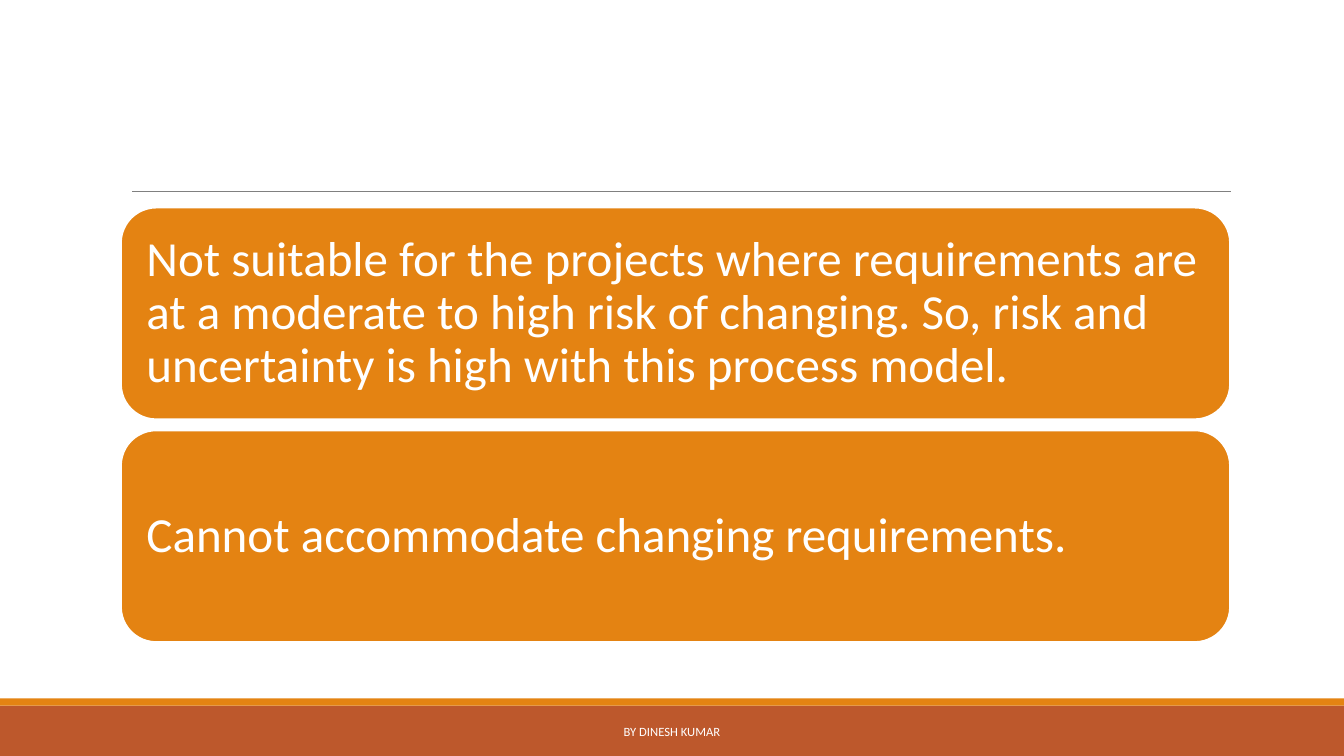
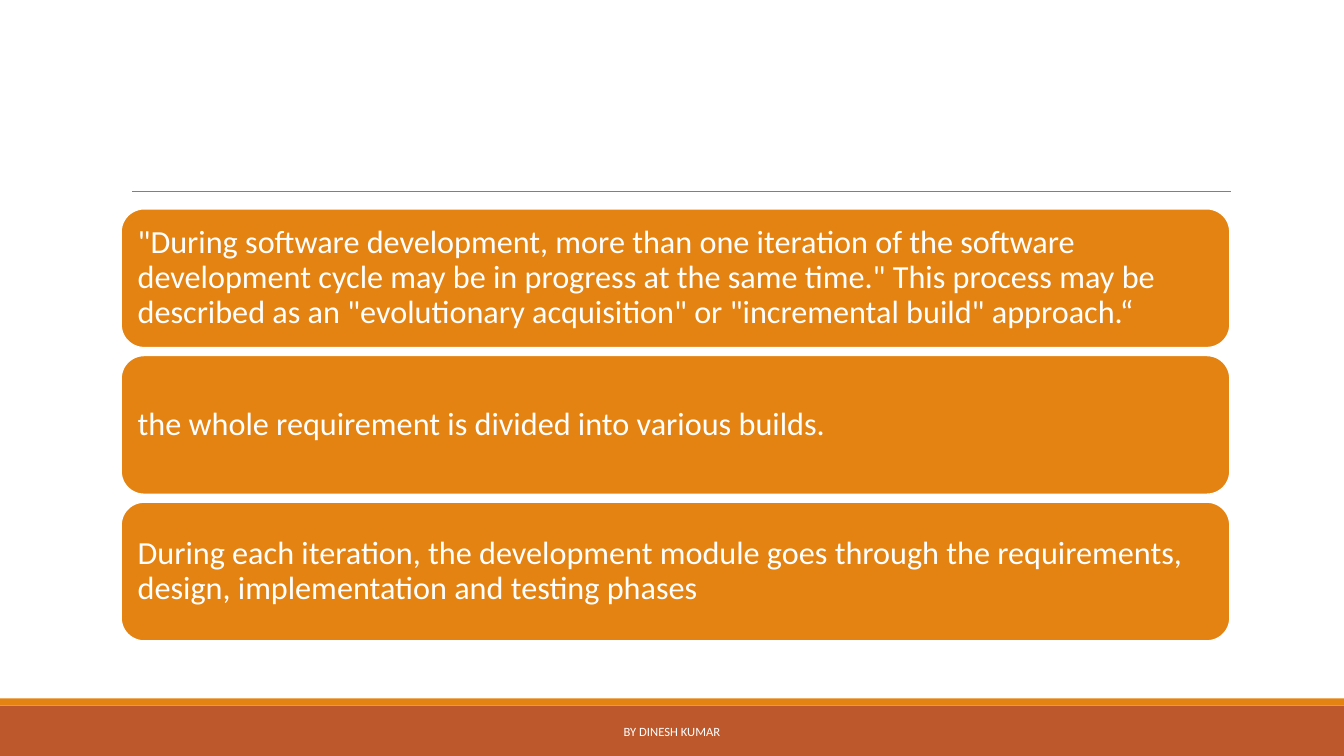
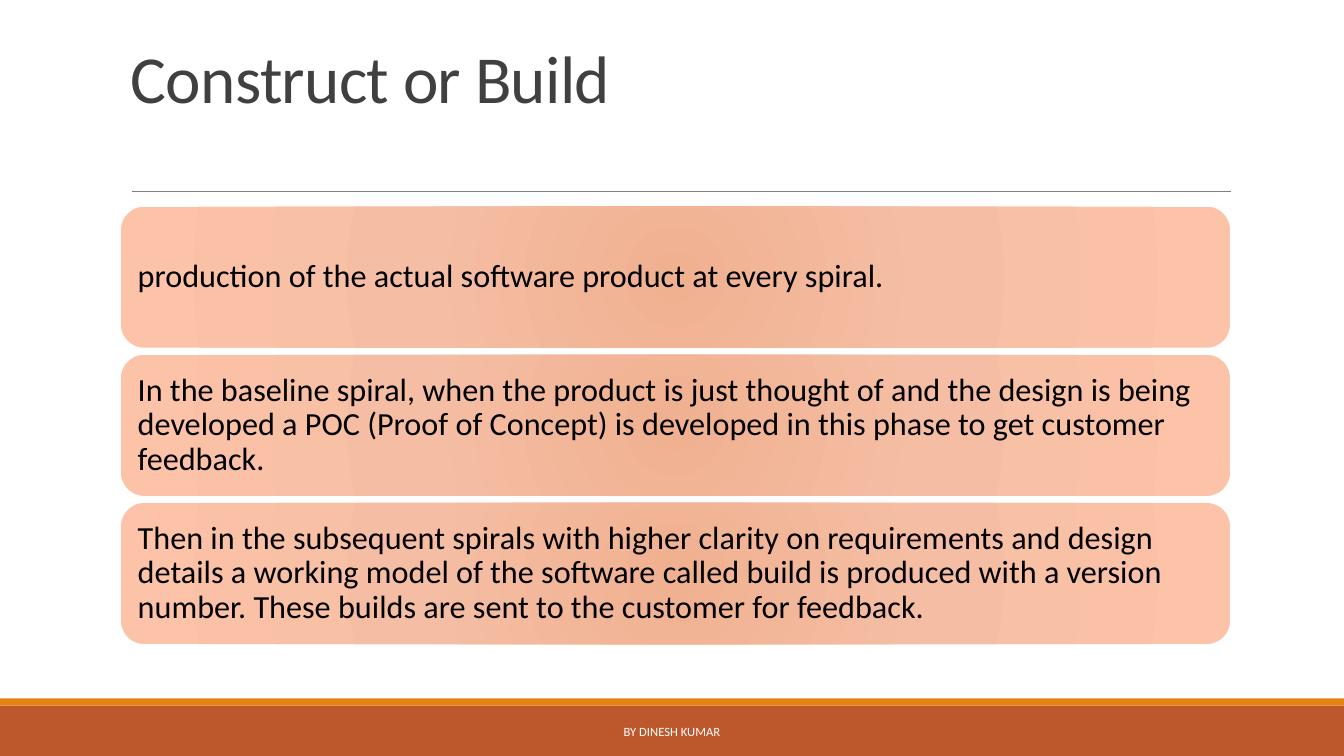
from lxml import etree
from pptx import Presentation
from pptx.dml.color import RGBColor
from pptx.enum import shapes, text
from pptx.oxml import parse_xml
from pptx.oxml import ns
from pptx.util import Inches, Pt

FONT = "Calibri"
WHITE, BLACK, DARK, GREY = "FFFFFF", "000000", "404040", "808080"
RUST, AMBER = "BD582C", "E48312"
GLOW = [(0, "F0B191"), (45, "F5BEA4"), (100, "FDC3A8")]
WIDE, HIGH = 13.33, 7.5
LEFT, SPAN = 1.2, 11


def color(code):
    """Turn a hex string into a colour."""
    return RGBColor.from_string(code)


def write(frame, words, size, ink, anchor, align=None, space=None, track=None):
    """Put one run of text in a frame."""
    frame.word_wrap = True
    frame.vertical_anchor = anchor
    para = frame.paragraphs[0]
    para.alignment = align or text.PP_ALIGN.LEFT
    para.line_spacing = space
    run = para.add_run()
    run.text = words
    run.font.name, run.font.size = FONT, Pt(size)
    run.font.color.rgb = color(ink)
    if track:
        run.font._element.set("spc", str(int(track * 100)))


def label(slide, box, words, size, ink, anchor, **style):
    """Add a text box."""
    area = slide.shapes.add_textbox(*map(Inches, box))
    write(area.text_frame, words, size, ink, anchor, **style)


def block(slide, kind, box, fill=None):
    """Add a shape without shadow or outline."""
    shape = slide.shapes.add_shape(kind, *map(Inches, box))
    shape.shadow.inherit = False
    shape.line.fill.background()
    if fill:
        shape.fill.solid()
        shape.fill.fore_color.rgb = color(fill)
    return shape


def rule(slide, start, end, y):
    """Add the thin line under the title."""
    line = slide.shapes.add_connector(
        shapes.MSO_CONNECTOR.STRAIGHT, *map(Inches, (start, y, end, y)))
    line.line.color.rgb = color(GREY)
    line.line.width = Pt(0.5)
    etree.SubElement(line._element.spPr, ns.qn("a:effectLst"))


def glow(shape):
    """Fill a shape with the round peach gradient."""
    stops = "".join(
        f'<a:gs pos="{pos * 1000}"><a:srgbClr val="{code}"/></a:gs>'
        for pos, code in GLOW)
    edges = " ".join(f'{side}="100000"' for side in "ltrb")
    shape.fill.background()
    props = shape._element.spPr
    props.replace(props.find(ns.qn("a:noFill")), parse_xml(
        f'<a:gradFill {ns.nsdecls("a")} rotWithShape="1">'
        f'<a:gsLst>{stops}</a:gsLst>'
        f'<a:path path="circle"><a:fillToRect {edges}/></a:path>'
        f'</a:gradFill>'))


def cards(slide, items, top, end, high, size, inset, soft=False):
    """Stack rounded cards with equal gaps from top to end."""
    step = (end - top - high) / (len(items) - 1)
    for row, words in enumerate(items):
        box = (LEFT, top + row * step, SPAN, high)
        card = block(slide, shapes.MSO_SHAPE.ROUNDED_RECTANGLE, box,
                     None if soft else AMBER)
        if soft:
            glow(card)
        else:
            card.line.color.rgb = color(WHITE)
            card.line.width = Pt(1.25)
        frame = card.text_frame
        frame.margin_left = frame.margin_right = Inches(inset)
        frame.margin_top = frame.margin_bottom = Inches(inset)
        write(frame, words, size, BLACK if soft else WHITE,
              text.MSO_ANCHOR.MIDDLE, space=0.9)


def page(deck, title=None):
    """Add a slide with bands, rule, footer and title."""
    slide = deck.slides.add_slide(deck.slide_layouts[6])
    rect = shapes.MSO_SHAPE.RECTANGLE
    block(slide, rect, (0, 7, WIDE, 0.5), RUST)
    block(slide, rect, (0, 6.93, WIDE, 0.07), AMBER)
    rule(slide, 1.31, 12.21, 1.9)
    label(slide, (4.03, 7.06, 5.27, 0.4), "BY DINESH KUMAR", 9, WHITE,
          text.MSO_ANCHOR.MIDDLE, align=text.PP_ALIGN.CENTER)
    if title:
        label(slide, (LEFT, 0.31, SPAN, 0.9), title, 48, DARK,
              text.MSO_ANCHOR.BOTTOM, space=0.85, track=-0.5)
    return slide


def main():
    """Build and save the deck."""
    deck = Presentation()
    deck.slide_width, deck.slide_height = Inches(WIDE), Inches(HIGH)
    cards(page(deck), [
        "Not suitable for the projects where requirements are at a moderate "
        "to high risk of changing. So, risk and uncertainty is high with "
        "this process model.",
        "Cannot accommodate changing requirements.",
    ], 2.06, 6.37, 2.1, 35, 0.15)
    cards(page(deck), [
        '"During software development, more than one iteration of the '
        'software development cycle may be in progress at the same time." '
        'This process may be described as an "evolutionary acquisition" or '
        '"incremental build" approach.“',
        "the whole requirement is divided into various builds.",
        "During each iteration, the development module goes through the "
        "requirements, design, implementation and testing phases",
    ], 2.07, 6.36, 1.38, 23, 0.1)
    cards(page(deck, "Construct or Build"), [
        "production of the actual software product at every spiral.",
        "In the baseline spiral, when the product is just thought of and the "
        "design is being developed a POC (Proof of Concept) is developed in "
        "this phase to get customer feedback.",
        "Then in the subsequent spirals with higher clarity on requirements "
        "and design details a working model of the software called build is "
        "produced with a version number. These builds are sent to the "
        "customer for feedback.",
    ], 2.05, 6.39, 1.4, 23, 0.1, soft=True)
    deck.save("out.pptx")


if __name__ == "__main__":
    main()
